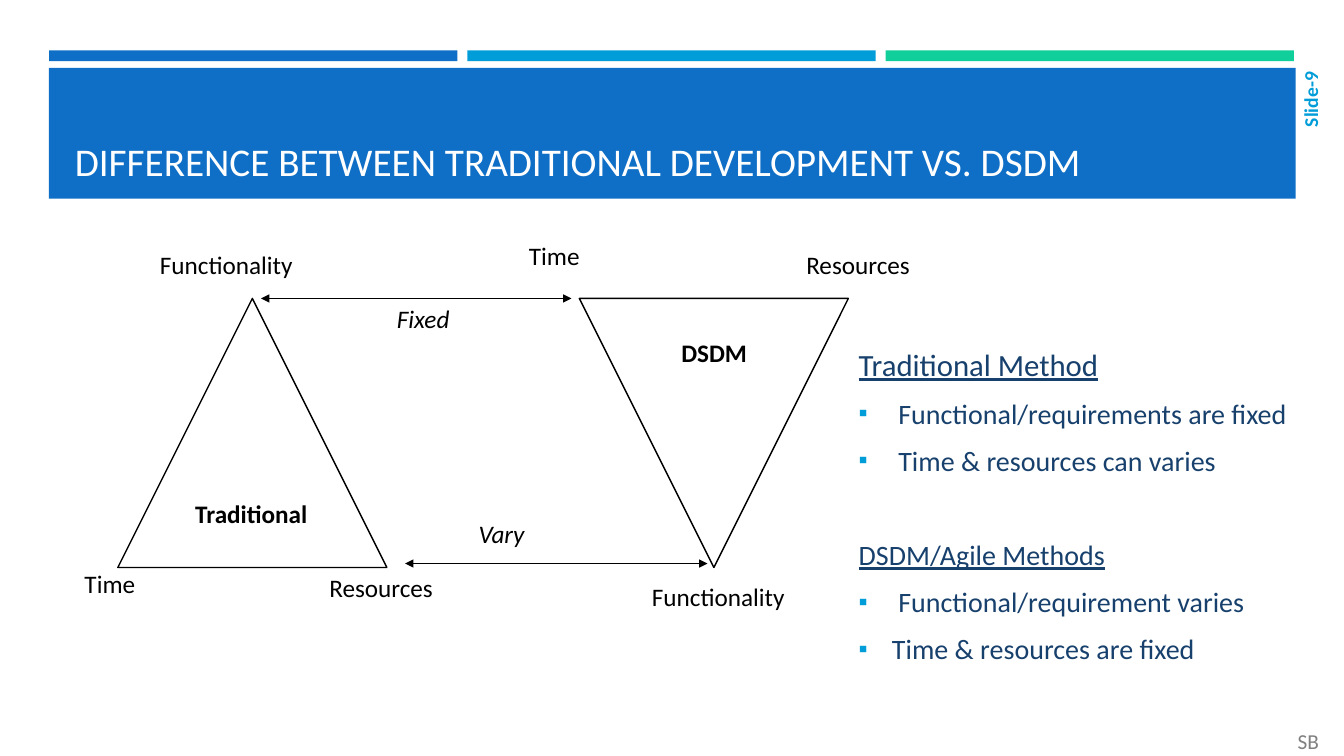
from dataclasses import dataclass

from lxml.etree import SubElement
from pptx import Presentation
from pptx.dml.color import RGBColor
from pptx.enum.shapes import MSO_CONNECTOR, MSO_SHAPE
from pptx.enum.text import MSO_ANCHOR, MSO_AUTO_SIZE, PP_ALIGN
from pptx.oxml.ns import qn
from pptx.util import Cm, Pt


@dataclass(frozen=True)
class Theme:
    font: str = "Calibri"
    blue: str = "0F6FC6"
    cyan: str = "009DD9"
    green: str = "10CF9B"
    navy: str = "17406D"
    black: str = "000000"
    white: str = "FFFFFF"
    grey: str = "808080"
    title: float = 28
    heading: float = 22
    body: float = 20
    label: float = 18
    footer: float = 15.2
    number: float = 14


THEME = Theme()


def rgb(value):
    return RGBColor.from_string(value)


def format_runs(p, size, color, bold=False, italic=False, underline=False):
    for r in p.runs:
        f = r.font
        f.name, f.size, f.color.rgb = THEME.font, Pt(size), rgb(color)
        f.bold, f.italic, f.underline = bold, italic, underline


def add_bar(s, left, top, width, height, color):
    sp = s.shapes.add_shape(MSO_SHAPE.RECTANGLE, Cm(left), Cm(top), Cm(width), Cm(height))
    sp.shadow.inherit = False
    sp.fill.solid()
    sp.fill.fore_color.rgb = rgb(color)
    sp.line.fill.background()


def add_title(s, text):
    sp = s.shapes.title
    sp.left, sp.top, sp.width, sp.height = Cm(1.63), Cm(1.96), Cm(30.63), Cm(2.82)
    tf = sp.text_frame
    tf.text = text
    tf.auto_size = MSO_AUTO_SIZE.NONE
    tf.vertical_anchor = MSO_ANCHOR.BOTTOM
    tf.paragraphs[0].alignment = PP_ALIGN.LEFT
    format_runs(tf.paragraphs[0], THEME.title, THEME.white)


def add_text(s, text, left, top, width, height, size, color, align=PP_ALIGN.LEFT, **style):
    sp = s.shapes.add_textbox(Cm(left), Cm(top), Cm(width), Cm(height))
    tf = sp.text_frame
    tf.text = text
    tf.word_wrap = False
    tf.paragraphs[0].alignment = align
    format_runs(tf.paragraphs[0], size, color, **style)
    return tf


def add_label(s, text, left, top, width, **style):
    add_text(s, text, left, top, width, 1.02, THEME.label, THEME.black, **style)


def add_slide_number(s, text):
    tf = add_text(s, text, 32.69, 1.68, 0.66, 2.84, THEME.number, THEME.cyan,
                  PP_ALIGN.RIGHT, bold=True)
    tf.word_wrap = True
    tf.vertical_anchor = MSO_ANCHOR.MIDDLE
    tf.margin_top = tf.margin_bottom = Cm(0.13)
    tf._txBody.bodyPr.set("vert", "vert270")


def add_triangle(s, left, rotation=0):
    sp = s.shapes.add_shape(MSO_SHAPE.ISOSCELES_TRIANGLE, Cm(left), Cm(7.52), Cm(6.78), Cm(6.78))
    sp.rotation = rotation
    sp.shadow.inherit = False
    sp.fill.background()
    sp.line.color.rgb = rgb(THEME.black)
    sp.line.width = Pt(1)


def add_double_arrow(s, x1, x2, y):
    c = s.shapes.add_connector(MSO_CONNECTOR.STRAIGHT, Cm(x1), Cm(y), Cm(x2), Cm(y))
    c.line.color.rgb = rgb(THEME.black)
    c.line.width = Pt(1)
    ln = c.line._get_or_add_ln()
    for end in ("a:headEnd", "a:tailEnd"):
        SubElement(ln, qn(end), type="triangle")
    SubElement(c._element.spPr, qn("a:effectLst"))


def add_bullet(p, indent):
    pPr = p._p.get_or_add_pPr()
    pPr.set("marL", str(Cm(indent)))
    pPr.set("indent", str(-Cm(indent)))
    color = SubElement(pPr, qn("a:buClr"))
    SubElement(color, qn("a:srgbClr"), val=THEME.cyan)
    SubElement(pPr, qn("a:buSzPct"), val="92000")
    SubElement(pPr, qn("a:buFont"), typeface="Arial")
    SubElement(pPr, qn("a:buChar"), char="▪")


def add_methods(s, lines):
    """Each line is (text, size, bullet indent or None for a heading)."""
    sp = s.shapes.add_textbox(Cm(21.39), Cm(8.05), Cm(11.4), Cm(9.42))
    tf = sp.text_frame
    tf.word_wrap = True
    tf.margin_top = Cm(0.67)
    tf.margin_right = Cm(0.1)
    for i, (text, size, indent) in enumerate(lines):
        p = tf.add_paragraph() if i else tf.paragraphs[0]
        p.text = text
        heading = indent is None
        if i:
            p.space_before = Pt(37.5 if heading else 3.5)
        p.space_after = Pt(6)
        if not heading:
            add_bullet(p, indent)
        format_runs(p, size, THEME.navy, underline=heading)


def main():
    prs = Presentation()
    prs.slide_width, prs.slide_height = Cm(33.87), Cm(19.05)
    s = prs.slides.add_slide(prs.slide_layouts[5])

    # Header: three accent bars above the title banner
    for i, color in enumerate((THEME.blue, THEME.cyan, THEME.green)):
        add_bar(s, 1.24 + i * 10.54, 1.27, 10.29, 0.27, color)
    add_bar(s, 1.23, 1.71, 31.42, 3.3, THEME.blue)
    title = s.shapes.title._element
    title.getparent().append(title)  # bring the title in front of the banner
    add_title(s, "DIFFERENCE BETWEEN TRADITIONAL DEVELOPMENT VS. DSDM")
    add_slide_number(s, "Slide-9")

    # Triangles and the arrows that join them
    add_triangle(s, 2.97)
    add_triangle(s, 14.6, 180)
    add_double_arrow(s, 10.21, 17.83, 14.2)
    add_double_arrow(s, 14.4, 6.58, 7.52)

    # Corner labels
    for text, left, top, width in (
        ("Time", 1.88, 14.2, 1.8),
        ("Resources", 8.05, 14.3, 3.15),
        ("Functionality", 16.18, 14.53, 3.89),
        ("Functionality", 3.78, 6.15, 3.89),
        ("Time", 13.08, 5.94, 1.8),
        ("Resources", 20.07, 6.15, 3.15),
    ):
        add_label(s, text, left, top, width)

    # Arrow and triangle names
    add_label(s, "Vary", 11.81, 12.93, 1.68, italic=True)
    add_label(s, "Fixed", 9.75, 7.52, 1.85, italic=True)
    add_label(s, "Traditional", 4.67, 12.42, 3.35, bold=True)
    add_label(s, "DSDM", 16.92, 8.38, 2.18, bold=True)

    # Comparison text
    add_methods(s, (
        ("Traditional Method", THEME.heading, None),
        ("Functional/requirements are fixed", THEME.body, 1),
        ("Time & resources can varies", THEME.body, 1),
        ("DSDM/Agile Methods", THEME.body, None),
        ("Functional/requirement varies", THEME.body, 1),
        ("Time & resources are fixed", THEME.body, 0.84),
    ))

    # Footer
    tf = add_text(s, "SB", 32.08, 18.29, 1.78, 0.76, THEME.footer, THEME.grey, PP_ALIGN.CENTER)
    tf.word_wrap = True
    tf.vertical_anchor = MSO_ANCHOR.MIDDLE

    prs.save("out.pptx")


if __name__ == "__main__":
    main()
